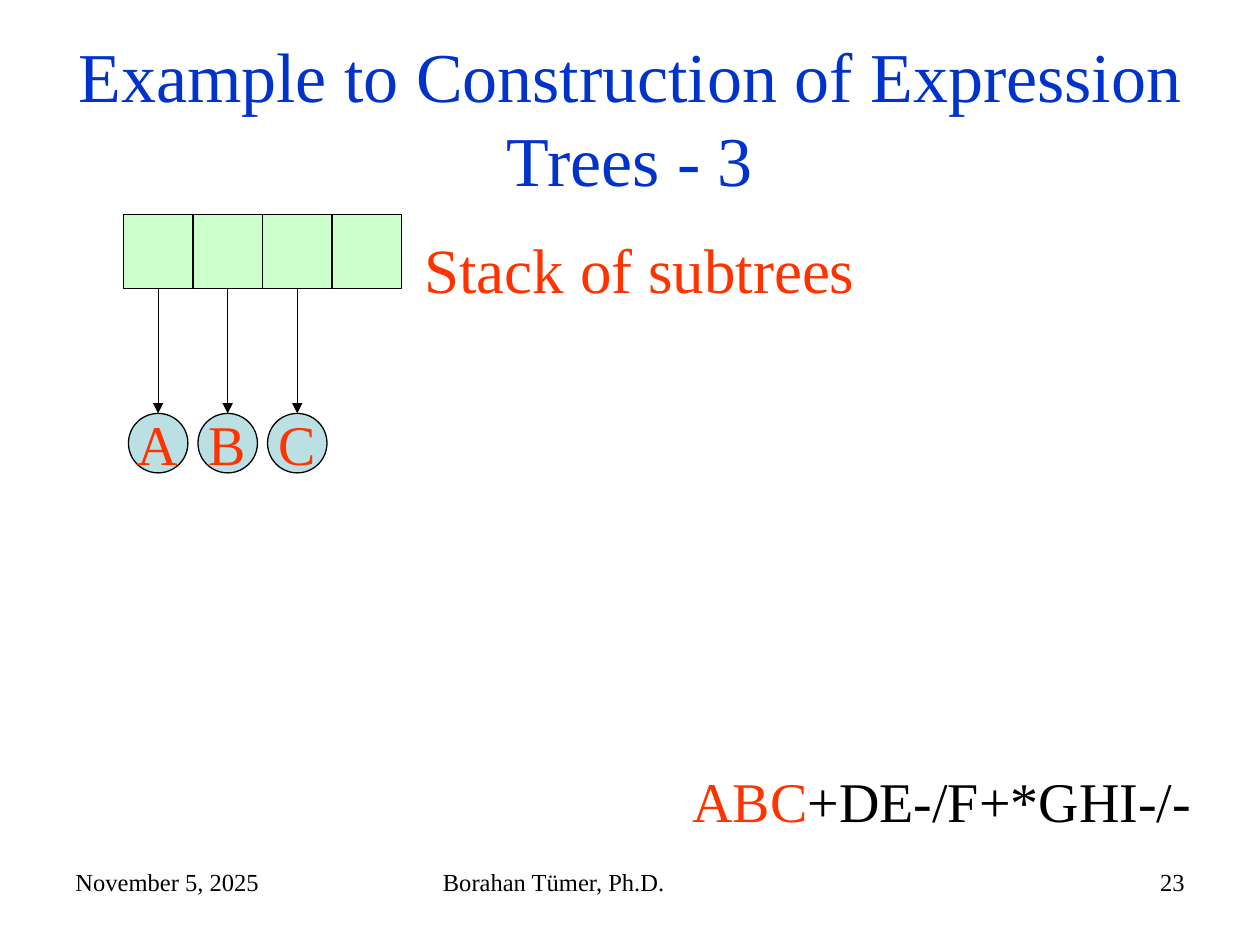
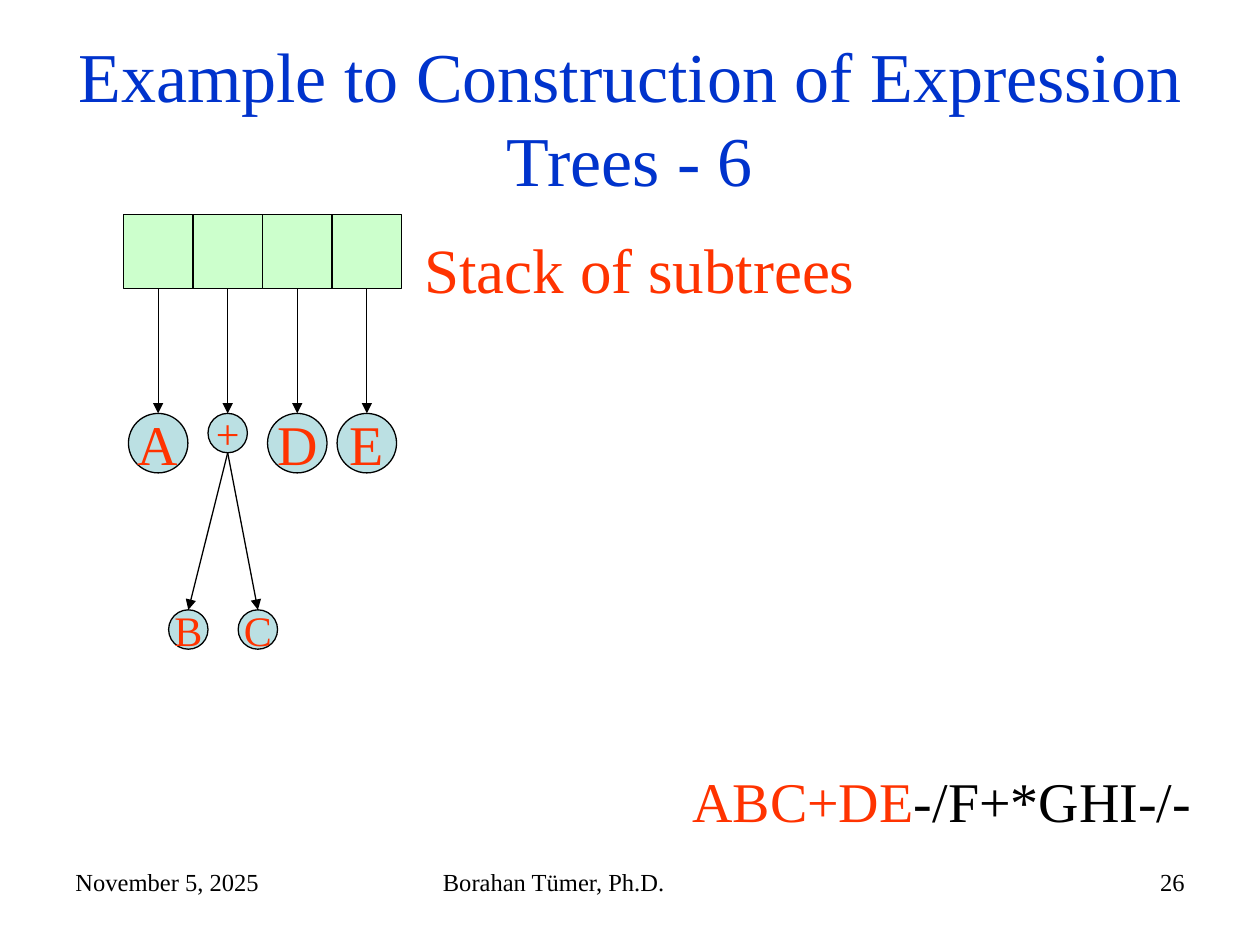
from lxml import etree
from pptx import Presentation
from pptx.dml.color import RGBColor
from pptx.enum import shapes as sh, text as tx
from pptx.oxml import ns
from pptx.util import Pt

BLUE = RGBColor(0x00, 0x33, 0xCC)
RED = RGBColor(0xFF, 0x33, 0x00)
BLACK = RGBColor(0x00, 0x00, 0x00)
GREEN = RGBColor(0xCC, 0xFF, 0xCC)
TEAL = RGBColor(0xBB, 0xE0, 0xE3)
FONT = "Times New Roman"
LEFT, MID, RIGHT = tx.PP_ALIGN.LEFT, tx.PP_ALIGN.CENTER, tx.PP_ALIGN.RIGHT
TOP, CENTRE = tx.MSO_ANCHOR.TOP, tx.MSO_ANCHOR.MIDDLE

# Stack cells and the trees below them
CELL_X, CELL_Y, CELL_W, CELL_H = 70.5, 122.5, 39.75, 42.5
BASE = CELL_Y + CELL_H
ROOT_Y, LEAF_Y = 236.25, 348.5
BIG, SMALL = 34, 22.5
POST = "ABC+DE-/F+*GHI-/-"

# Title number, page, symbols read, roots on the stack, children of "+"
STEPS = [
    (3, 23, 3, "ABC", []),
    (6, 26, 6, "A+DE", [("B", -22.5), ("C", 17.25)]),
]


def write(frame, runs, size, align=LEFT, anchor=TOP, wrap=True):
    form = {"word_wrap": wrap, "vertical_anchor": anchor}
    for key, val in form.items():
        setattr(frame, key, val)
    para = frame.paragraphs[0]
    para.alignment = align
    for words, tint in runs:
        run = para.add_run()
        run.text = words
        for key, val in {"name": FONT, "size": Pt(size)}.items():
            setattr(run.font, key, val)
        run.font.color.rgb = tint


def shape(slide, kind, box, fill):
    item = slide.shapes.add_shape(kind, *map(Pt, box))
    item.shadow.inherit = False
    item.fill.solid()
    item.fill.fore_color.rgb = fill
    item.line.color.rgb = BLACK
    item.line.width = Pt(0.75)
    return item


deck = Presentation()
deck.slide_width, deck.slide_height = Pt(720), Pt(540)

for step, page, done, roots, kids in STEPS:
    slide = deck.slides.add_slide(deck.slide_layouts[6])

    # Footer, title, label and postfix expression
    title = f"Example to Construction of Expression Trees - {step}"
    for box, runs, size, align, anchor, wrap in [
        ((36, 492, 168, 37.5), [("November 5, 2025", BLACK)], 14, LEFT, TOP, True),
        ((246, 492, 228, 37.5), [("Borahan Tümer, Ph.D.", BLACK)], 14, LEFT, TOP, True),
        ((516, 492, 168, 37.5), [(str(page), BLACK)], 14, RIGHT, TOP, True),
        ((36, 21.5, 648, 90), [(title, BLUE)], 40, MID, CENTRE, True),
        ((235.5, 128.25, 260.5, 50.5), [("Stack of subtrees", RED)], 36, LEFT, TOP, False),
        ((388.5, 434.5, 301, 45.5), [(POST[:done], RED), (POST[done:], BLACK)],
         32, LEFT, TOP, True),
    ]:
        area = slide.shapes.add_textbox(*map(Pt, box))
        write(area.text_frame, runs, size, align, anchor, wrap)

    # Stack
    for i in range(4):
        shape(slide, sh.MSO_SHAPE.RECTANGLE,
              (CELL_X + i * CELL_W, CELL_Y, CELL_W, CELL_H), GREEN)

    # Place the nodes and the arrows that lead to them
    nodes, links = [], []
    for i, name in enumerate(roots):
        mid = CELL_X + (i + 0.5) * CELL_W
        nodes.append((name, mid, ROOT_Y, SMALL if name == "+" else BIG))
        links.append((mid, BASE, mid, ROOT_Y))
        if name == "+":
            for kid, shift in kids:
                nodes.append((kid, mid + shift, LEAF_Y, SMALL))
                links.append((mid, ROOT_Y + SMALL, mid + shift, LEAF_Y))

    # Nodes
    for name, mid, top, size in nodes:
        node = shape(slide, sh.MSO_SHAPE.OVAL, (mid - size / 2, top, size, size), TEAL)
        write(node.text_frame, [(name, RED)], 32 if size == BIG else 24,
              MID, CENTRE, False)

    # Arrows
    for ends in links:
        link = slide.shapes.add_connector(sh.MSO_CONNECTOR.STRAIGHT, *map(Pt, ends))
        link.line.color.rgb = BLACK
        link.line.width = Pt(0.75)
        etree.SubElement(link.line._get_or_add_ln(), ns.qn("a:tailEnd"), type="triangle")
        etree.SubElement(link._element.spPr, ns.qn("a:effectLst"))

deck.save("out.pptx")
